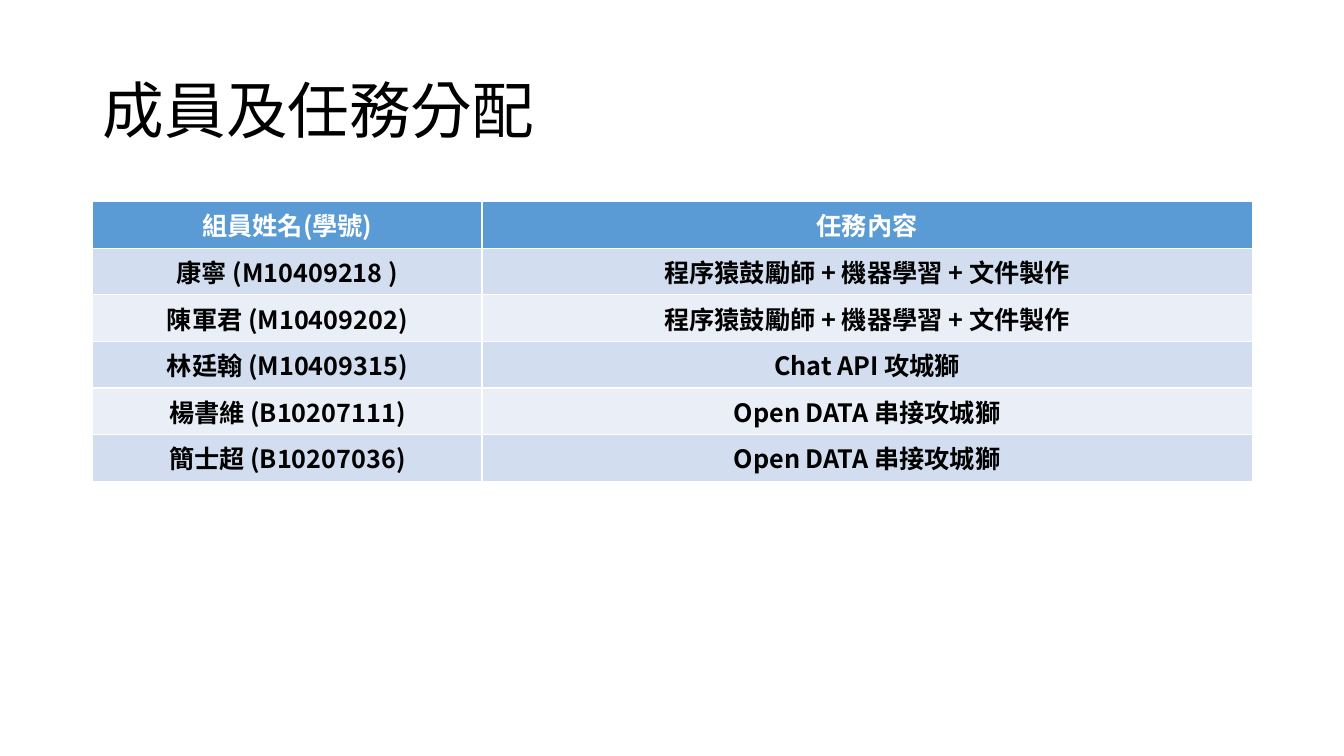
"""Build the slide listing team members and their tasks."""
from lxml.etree import SubElement
from pptx import Presentation
from pptx.dml.color import RGBColor
from pptx.enum.text import MSO_ANCHOR, MSO_AUTO_SIZE, PP_ALIGN
from pptx.oxml.ns import qn
from pptx.util import Inches, Pt

FONT = "Noto Sans CJK SC"
BLACK = RGBColor(0x00, 0x00, 0x00)
WHITE = RGBColor(0xFF, 0xFF, 0xFF)
BLUE = RGBColor(0x5B, 0x9B, 0xD5)
LIGHT = RGBColor(0xD2, 0xDE, 0xEF)
PALE = RGBColor(0xEA, 0xEF, 0xF7)

ROWS = [
    ("組員姓名(學號)", "任務內容"),
    ("康寧 (M10409218 )", "程序猿鼓勵師 + 機器學習 + 文件製作"),
    ("陳軍君 (M10409202)", "程序猿鼓勵師 + 機器學習 + 文件製作"),
    ("林廷翰 (M10409315)", "Chat API 攻城獅"),
    ("楊書維 (B10207111)", "Open DATA 串接攻城獅"),
    ("簡士超 (B10207036)", "Open DATA 串接攻城獅"),
]


def add_run(p, text, size, color, bold=False):
    r = p.add_run()
    r.text = text
    r.font.size = Pt(size)
    r.font.bold = bold
    r.font.color.rgb = color
    r.font.name = FONT
    rPr = r._r.get_or_add_rPr()
    rPr.set("lang", "zh-TW")
    SubElement(rPr, qn("a:ea")).set("typeface", FONT)


prs = Presentation()
prs.slide_width = Inches(13.33)
prs.slide_height = Inches(7.5)
s = prs.slides.add_slide(prs.slide_layouts[5])

title = s.shapes.title
title.left, title.top = Inches(0.92), Inches(0.4)
title.width, title.height = Inches(11.5), Inches(1.45)
tf = title.text_frame
tf.word_wrap = True
tf.auto_size = MSO_AUTO_SIZE.NONE
tf.vertical_anchor = MSO_ANCHOR.MIDDLE
p = tf.paragraphs[0]
p.alignment = PP_ALIGN.LEFT
p.line_spacing = 0.9
add_run(p, "成員及任務分配", 44, BLACK)

table = s.shapes.add_table(len(ROWS), 2, Inches(0.92), Inches(2),
                           Inches(11.5), Inches(2.43)).table
table.columns[0].width = Inches(3.86)
table.columns[1].width = Inches(7.64)

for i, row in enumerate(ROWS):
    if i == 0:
        fill, color = BLUE, WHITE
    else:
        fill, color = (LIGHT if i % 2 else PALE), BLACK
    for j, text in enumerate(row):
        cell = table.cell(i, j)
        cell.fill.solid()
        cell.fill.fore_color.rgb = fill
        p = cell.text_frame.paragraphs[0]
        p.alignment = PP_ALIGN.CENTER
        add_run(p, text, 18, color, bold=True)

prs.save("out.pptx")
